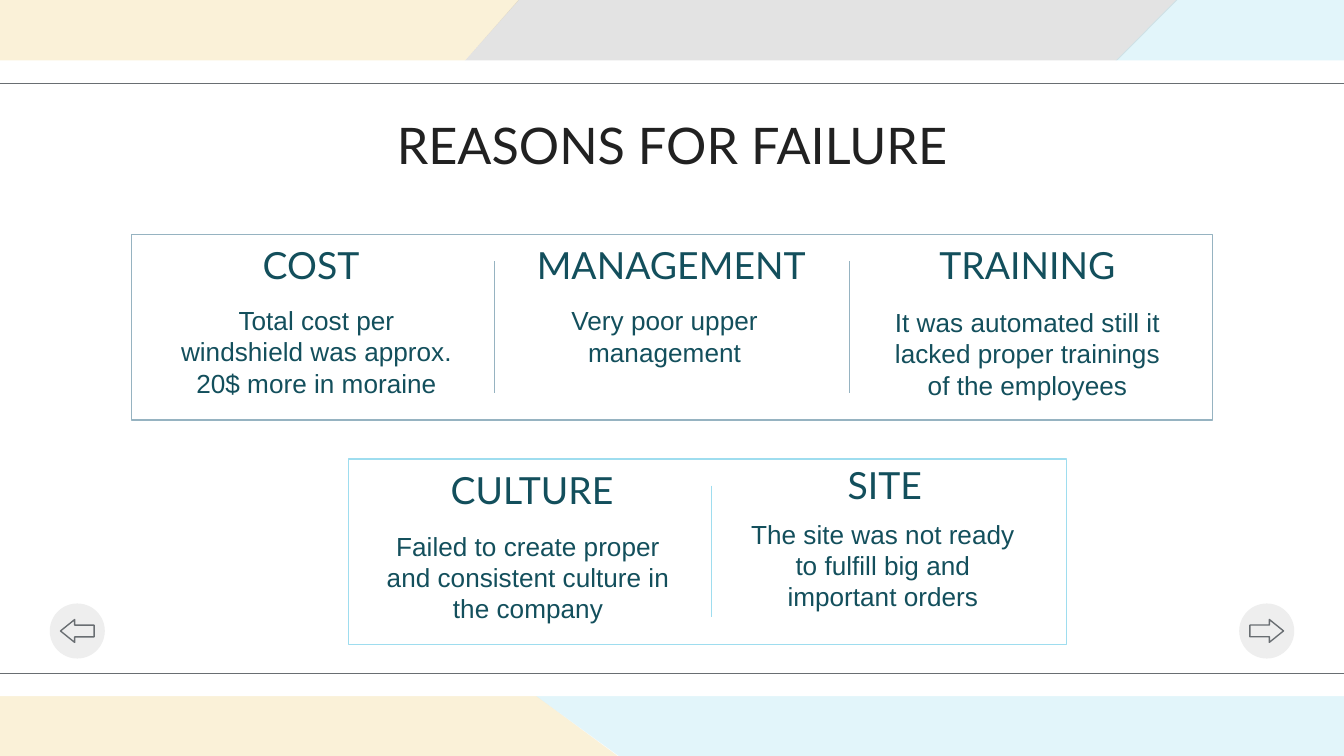
from lxml.etree import SubElement
from pptx import Presentation
from pptx.dml.color import RGBColor
from pptx.enum.shapes import MSO_CONNECTOR as Connector, MSO_SHAPE as Shape
from pptx.enum.text import MSO_ANCHOR as Anchor, MSO_AUTO_SIZE as AutoSize, PP_ALIGN as Align
from pptx.oxml.ns import qn
from pptx.util import Inches, Pt

WIDTH = Inches(10)
HEIGHT = WIDTH * 9 // 16
CELL = WIDTH / 100

CREAM = RGBColor(0xF7, 0xE5, 0xB7)
GRAPHITE = RGBColor(0x59, 0x59, 0x59)
SKY = RGBColor(0x9E, 0xDD, 0xEF)
STEEL = RGBColor(0x96, 0xB3, 0xC1)
SLATE = RGBColor(0x69, 0x6E, 0x72)
TEAL = RGBColor(0x13, 0x4F, 0x5C)
INK = RGBColor(0x21, 0x21, 0x21)
PALE = RGBColor(0xEE, 0xEE, 0xEE)
WHITE = RGBColor(0xFF, 0xFF, 0xFF)

BANDS = [
    (CREAM, 53, [(39.5, -1), (-0.7, -1), (-0.7, 56.8), (46.7, 56.8), (11.3, 30.7)]),
    (GRAPHITE, 17, [(39.2, -0.7), (88.3, -0.7), (37.7, 50.2), (11.3, 31)]),
    (SKY, 29, [(88.2, -0.7), (100.8, -0.7), (100.8, 57.8), (46.8, 56.8), (37.7, 50.2)]),
]
CAUSES = [
    ("COST", (1.7, 0, 23.3, 4.4),
     "Total cost per windshield was approx. 20$ more in moraine", (2.2, 5.8, 23.1, 5.8), 0),
    ("MANAGEMENT", (28.6, 0, 23.1, 4.4),
     "Very poor upper management", (28.6, 5.8, 22.1, 5.8), 2.3),
    ("TRAINING", (55.1, 0, 23.1, 4.4),
     "It was automated still it lacked proper trainings of the employees",
     (55.1, 7.1, 23.1, 5.8), 2.3),
]
CONDITIONS = [
    ("CULTURE", (2, 0.1, 23.3, 4.4),
     "Failed to create proper and consistent culture in the company", (1.7, 7.5, 23.3, 5.8), 0),
    ("SITE ", (28.7, -0.3, 23.1, 4.4),
     "The site was not ready to fulfill big and important orders", (28.7, 6.6, 22.1, 5.8), 0),
]


def cells(*counts):
    """Turn counts of grid cells into lengths."""
    return [round(count * CELL) for count in counts]


def inside(box, part):
    """Shift a part's box by the corner of the box that holds it."""
    return box[0] + part[0], box[1] + part[1], part[2], part[3]


def add_block(slide, kind, box, fill=None, line=None):
    """Add a preset shape with a plain fill or outline."""
    block = slide.shapes.add_shape(kind, *cells(*box))
    block.shadow.inherit = False
    if fill is None:
        block.fill.background()
    else:
        block.fill.solid()
        block.fill.fore_color.rgb = fill
    if line is None:
        block.line.fill.background()
    else:
        block.line.color.rgb = line
        block.line.width = Pt(0.75)
    return block


def add_rule(slide, start, end, color):
    """Add a thin straight line between two grid points."""
    rule = slide.shapes.add_connector(Connector.STRAIGHT, *cells(*start, *end))
    rule.line.color.rgb = color
    rule.line.width = Pt(0.75)
    SubElement(rule._element.spPr, qn("a:effectLst"))


def write(holder, words, font, size, color, anchor, spare=0):
    """Fill a text holder with one centred paragraph, leaving spare cells below."""
    frame = holder.text_frame
    frame.word_wrap = True
    frame.auto_size = AutoSize.NONE
    frame.vertical_anchor = anchor
    frame.margin_left = frame.margin_right = frame.margin_top = Inches(0.1)
    frame.margin_bottom = cells(1 + spare)[0]
    paragraph = frame.paragraphs[0]
    paragraph.text = words
    paragraph.alignment = Align.CENTER
    paragraph.font.name = font
    paragraph.font.size = Pt(size)
    paragraph.font.color.rgb = color


def add_backdrop(slide, box):
    """Draw the tinted bands, the white page over them and its two rules."""
    left, top, width, height = box
    for color, opacity, points in BANDS:
        corners = [cells(x, y) for x, y in points]
        builder = slide.shapes.build_freeform(*corners[0])
        builder.add_line_segments(corners[1:], close=True)
        band = builder.convert_to_shape()
        band.shadow.inherit = False
        band.line.fill.background()
        band.fill.solid()
        band.fill.fore_color.rgb = color
        tint = band._element.spPr.find(qn("a:solidFill"))[0]
        SubElement(tint, qn("a:alpha")).set("val", str(opacity * 1000))
    add_block(slide, Shape.RECTANGLE, box, fill=WHITE)
    for y in (top + 1.7, top + height - 1.7):
        add_rule(slide, (left - 0.9, y), (left + width + 0.2, y), SLATE)


def add_title(slide, box, words):
    """Place the slide title in front of the other parts."""
    title = slide.shapes.title
    title.left, title.top, title.width, title.height = cells(*box)
    write(title, words, "Lato", 27, INK, Anchor.TOP)
    slide.shapes._spTree.append(title._element)


def add_panel(slide, box, reasons, color, anchor):
    """Draw an outlined panel of reasons separated by dividers."""
    left, top, _, height = box
    add_block(slide, Shape.RECTANGLE, box, line=color)
    for heading, heading_box, detail, detail_box, spare in reasons:
        label = slide.shapes.add_textbox(*cells(*inside(box, heading_box)))
        write(label, heading, "Lato", 20, TEAL, Anchor.MIDDLE)
        body = slide.shapes.add_textbox(*cells(*inside(box, detail_box)))
        write(body, detail, "Arial", 14, TEAL, anchor, spare)
    for x in (left + 27, left + 53.4):
        add_rule(slide, (x, top + 2), (x, top + height - 2), color)


def add_button(slide, box, rotation):
    """Draw a round navigation button with an arrow."""
    add_block(slide, Shape.OVAL, box, fill=PALE)
    arrow = add_block(slide, Shape.RIGHT_ARROW, inside(box, (0.8, 1.2, 2.5, 1.7)), line=SLATE)
    arrow.adjustments[0] = 0.51
    arrow.adjustments[1] = 0.62
    arrow.rotation = rotation


def main():
    """Build and save the slide."""
    deck = Presentation()
    deck.slide_width, deck.slide_height = WIDTH, HEIGHT
    slide = deck.slides.add_slide(deck.slide_layouts[5])
    add_backdrop(slide, (-0.3, 4.5, 100.5, 47.3))
    add_panel(slide, (9.8, 17.45, 80.4, 13.8), CAUSES, STEEL, Anchor.MIDDLE)
    add_panel(slide, (25.94, 34.14, 53.4, 13.8), CONDITIONS, SKY, Anchor.BOTTOM)
    for left, rotation in ((3.7, 180), (92.2, 0)):
        add_button(slide, (left, 44.9, 4.1, 4.1), rotation)
    add_title(slide, (21.6, 7.5, 56.8, 5.8), "REASONS FOR FAILURE")
    deck.save("out.pptx")


if __name__ == "__main__":
    main()
